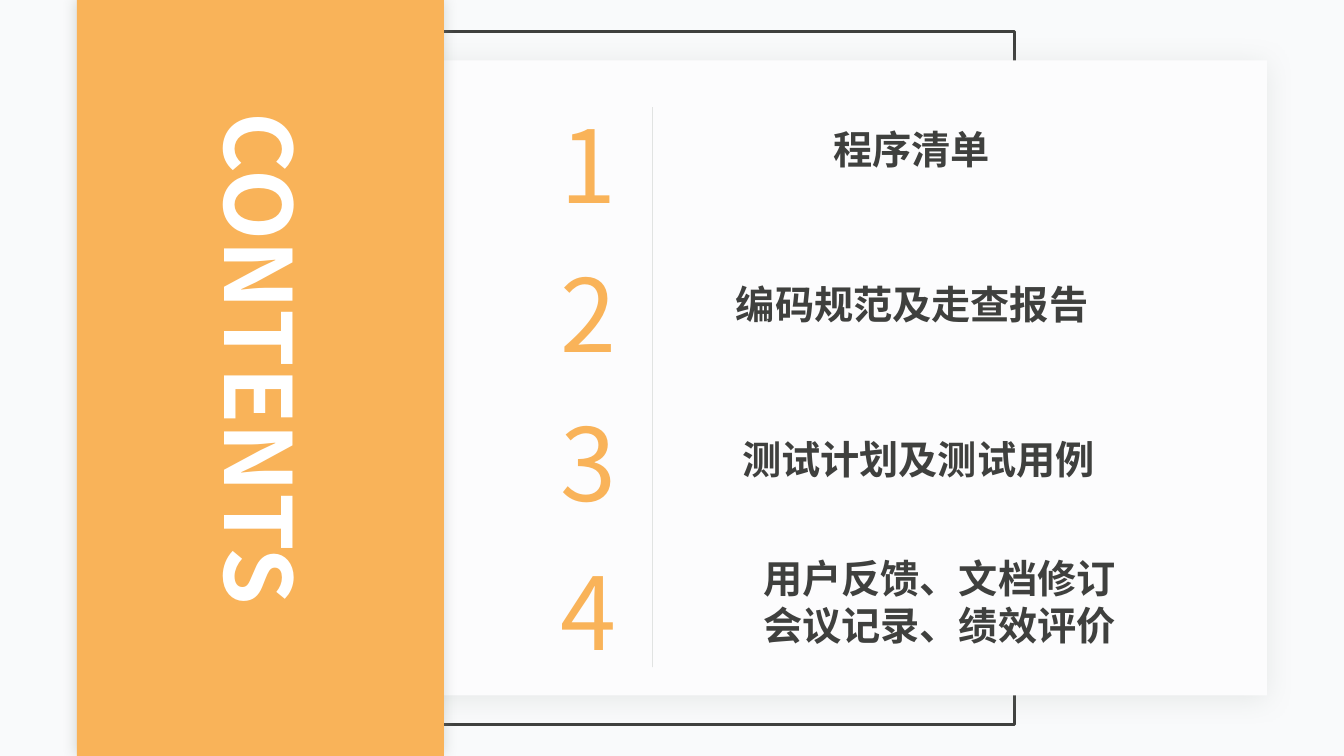
from lxml.etree import SubElement
from pptx import Presentation
from pptx.dml.color import RGBColor
from pptx.enum.shapes import MSO_CONNECTOR as Connector, MSO_SHAPE as Shape
from pptx.enum.text import MSO_AUTO_SIZE as AutoSize, PP_ALIGN as Align
from pptx.oxml.ns import qn
from pptx.util import Pt

COLORS = {"back": "F9FAFB", "card": "FCFCFD", "accent": "F9B359",
          "ink": "3F403E", "grey": "969F98", "white": "FFFFFF"}


class Page:
    font = "Noto Sans CJK SC"
    inset = Pt(3.6)

    def __init__(self, deck):
        self.slide = deck.slides.add_slide(deck.slide_layouts[6])
        self.shapes = self.slide.shapes
        fill = self.slide.background.fill
        fill.solid()
        fill.fore_color.rgb = self.color("back")

    def color(self, name):
        return RGBColor.from_string(COLORS[name])

    def rect(self, left, top, width, height, fill=None, line=None, shadow=None):
        box = self.shapes.add_shape(Shape.RECTANGLE, Pt(left), Pt(top), Pt(width), Pt(height))
        box.shadow.inherit = False
        if fill:
            box.fill.solid()
            box.fill.fore_color.rgb = self.color(fill)
        else:
            box.fill.background()
        if line:
            box.line.color.rgb = self.color(line)
            box.line.width = Pt(2)
        else:
            box.line.fill.background()
        if shadow:
            self.shadow(box, *shadow)

    def shadow(self, box, opacity, blur, distance, angle):
        effects = box._element.spPr.find(qn("a:effectLst"))
        outer = SubElement(effects, qn("a:outerShdw"), blurRad=str(Pt(blur)),
                           dist=str(Pt(distance)), dir=str(angle * 60000), rotWithShape="0")
        tint = SubElement(outer, qn("a:srgbClr"), val=COLORS["grey"])
        SubElement(tint, qn("a:alpha"), val=str(opacity * 1000))

    def divider(self, x, top, bottom, opacity):
        line = self.shapes.add_connector(Connector.STRAIGHT, Pt(x), Pt(top), Pt(x), Pt(bottom))
        line.line.color.rgb = self.color("grey")
        line.line.width = Pt(0.5)
        properties = line._element.spPr
        tint = properties.find(".//" + qn("a:srgbClr"))
        SubElement(tint, qn("a:alpha"), val=str(opacity * 1000))
        SubElement(properties, qn("a:effectLst"))

    def text(self, left, top, width, height, lines, size, color,
             bold=False, align=Align.CENTER, spacing=None, rotation=0):
        box = self.shapes.add_textbox(Pt(left), Pt(top), Pt(width), Pt(height))
        box.rotation = rotation
        frame = box.text_frame
        frame.word_wrap = False
        frame.auto_size = AutoSize.SHAPE_TO_FIT_TEXT
        frame.margin_left = frame.margin_right = self.inset
        frame.margin_top = frame.margin_bottom = self.inset
        frame.text = "\n".join(lines)
        for para in frame.paragraphs:
            para.alignment = align
            font = para.font
            font.name, font.size, font.bold = self.font, Pt(size), bold
            font.color.rgb = self.color(color)
            SubElement(font._element, qn("a:ea"), typeface=self.font)
            if spacing:
                for span in para.runs:
                    span.font._element.set("spc", str(spacing * 100))


deck = Presentation()
deck.slide_width, deck.slide_height = Pt(960), Pt(540)
page = Page(deck)

# Outline frame and card
page.rect(183, 22.5, 541.5, 495, line="ink")
page.rect(169, 43.2, 736, 453.6, fill="card", shadow=(20, 20, 3, 90))

# Numbered topics: left, top, width, height, lines
topics = [
    (591, 85.7, 120, 41, ["程序清单"]),
    (520.5, 196.5, 262, 41, ["编码规范及走查报告"]),
    (525, 307.4, 262, 41, ["测试计划及测试用例"]),
    (540, 392.4, 262, 75, ["用户反馈、文档修订", "会议记录、绩效评价"]),
]
for index, (left, top, width, height, lines) in enumerate(topics):
    page.text(396.7, 69.8 + 106.4 * index, 45.4, 93, [str(index + 1)], 72, "accent", spacing=-3)
    page.text(left, top, width, height, lines, 28, "ink", bold=True)
page.divider(466, 76.5, 476.5, opacity=40)

# Title band
page.rect(55, 0, 262, 540, fill="accent", shadow=(40, 10, 0, 0))
page.text(0.7, 219, 371.5, 86.4, ["CONTENTS"], 66, "white",
          bold=True, align=Align.LEFT, rotation=90)

deck.save("out.pptx")
